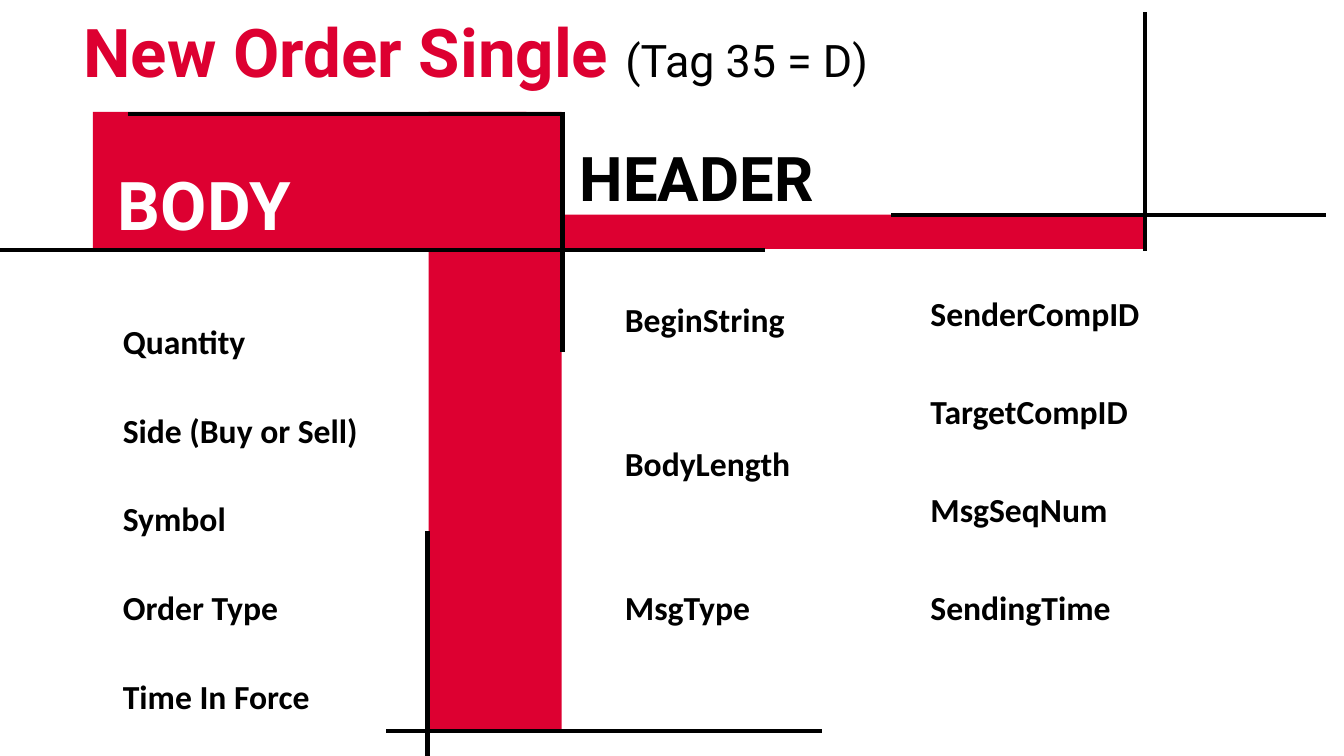
from lxml import etree
from pptx import Presentation
from pptx import util as u
from pptx.dml.color import RGBColor
from pptx.enum import shapes, text
from pptx.oxml import ns

COLORS = {"red": "DD0031", "black": "000000", "white": "FFFFFF"}


def color(name):
    return RGBColor.from_string(COLORS[name])


def place(s, x, y, w, h):
    s.left, s.top, s.width, s.height = (u.Inches(v) for v in (x, y, w, h))


def write(s, *runs, anchor=text.MSO_ANCHOR.TOP, inset=0.1):
    tf = s.text_frame
    tf.word_wrap = True
    tf.auto_size = text.MSO_AUTO_SIZE.NONE
    tf.vertical_anchor = anchor
    tf.margin_left, tf.margin_right = u.Inches(inset), u.Inches(0.1)
    tf.margin_top = tf.margin_bottom = u.Inches(0.05)
    p = tf.paragraphs[0]
    p.alignment = text.PP_ALIGN.LEFT
    p.line_spacing = 0.9
    p.space_before = u.Pt(0)
    for words, size, font, fill, bold in runs:
        r = p.add_run()
        r.text = words
        r.font.size, r.font.name, r.font.bold = u.Pt(size), font, bold
        r.font.color.rgb = color(fill)
    return p


def add_text(slide, box, *runs):
    write(slide.shapes.add_textbox(*(u.Inches(v) for v in box)), *runs)


def add_bar(slide, *box):
    s = slide.shapes.add_shape(shapes.MSO_SHAPE.RECTANGLE, *(u.Inches(v) for v in box))
    s.shadow.inherit = False
    s.fill.solid()
    s.fill.fore_color.rgb = color("red")
    s.line.fill.background()


def add_rule(slide, *ends):
    s = slide.shapes.add_connector(shapes.MSO_CONNECTOR.STRAIGHT, *(u.Inches(v) for v in ends))
    s.line.width = u.Pt(3)
    s.line.color.rgb = color("black")
    etree.SubElement(s._element.spPr, ns.qn("a:effectLst"))


def add_column(slide, box, fields):
    x, y, w, h = box
    row = 0.55
    step = (h - row) / (len(fields) - 1)
    for i, field in enumerate(fields):
        add_text(slide, (x, y + i * step, w, row), (field, 24, "Calibri", "black", True))


def add_heading(slide, box):
    add_text(slide, box, ("New Order Single ", 48, "Roboto", "red", True),
             ("(Tag 35 = D)", 32, "Roboto", "black", False))


def add_body(slide, box):
    x, y, w, h = box
    s = slide.shapes.title
    place(s, x, y, w, 1.37)
    s.fill.solid()
    s.fill.fore_color.rgb = color("red")
    write(s, ("BODY", 48, "Roboto", "white", True), anchor=text.MSO_ANCHOR.BOTTOM, inset=0.25)
    add_column(slide, (x + 0.2, y + 2.07, 2.7, h - 2.07),
               ["Quantity", "Side (Buy or Sell)", "Symbol", "Order Type", "Time In Force"])


def add_header(slide, box):
    x, y, w, h = box
    s = slide.placeholders[1]
    place(s, x, y, w, 0.67)
    p = write(s, ("HEADER", 44, "Roboto", "black", True))
    pPr = p._p.get_or_add_pPr()
    pPr.set("marL", "0")
    pPr.set("indent", "0")
    etree.SubElement(pPr, ns.qn("a:buNone"))
    add_column(slide, (x + 0.45, y + 1.54, 2.4, h - 1.54),
               ["BeginString", "BodyLength", "MsgType"])
    add_column(slide, (x + 3.48, y + 1.48, 2.4, h - 1.48),
               ["SenderCompID", "TargetCompID", "MsgSeqNum", "SendingTime"])


def add_frame(slide, box):
    x, y, w, h = box
    right, bottom = x + w, y + h
    add_bar(slide, x + 3.33, y, 1.32, h)
    add_bar(slide, x + 4.3, y + 1.02, w - 4.3, 0.34)
    for ends in (
        (x + 7.92, y + 1.02, right + 1.79, y + 1.02),
        (0, y + 1.37, x + 6.67, y + 1.37),
        (x + 2.91, bottom, x + 7.23, bottom),
        (right, 0.12, right, y + 1.38),
        (x + 3.32, y + 4.16, x + 3.32, 7.5),
        (x + 0.35, y + 0.02, x + 4.66, y + 0.02),
        (x + 4.66, y, x + 4.66, y + 2.38),
    ):
        add_rule(slide, *ends)


def main():
    prs = Presentation()
    prs.slide_width, prs.slide_height = u.Inches(13.33), u.Inches(7.5)
    slide = prs.slides.add_slide(prs.slide_layouts[1])
    add_frame(slide, (0.92, 1.11, 10.44, 6.14))
    add_body(slide, (0.92, 1.11, 4.3, 6.14))
    add_header(slide, (5.65, 1.42, 6.73, 4.95))
    add_heading(slide, (0.73, 0.14, 8.83, 0.77))
    prs.save("out.pptx")


if __name__ == "__main__":
    main()
